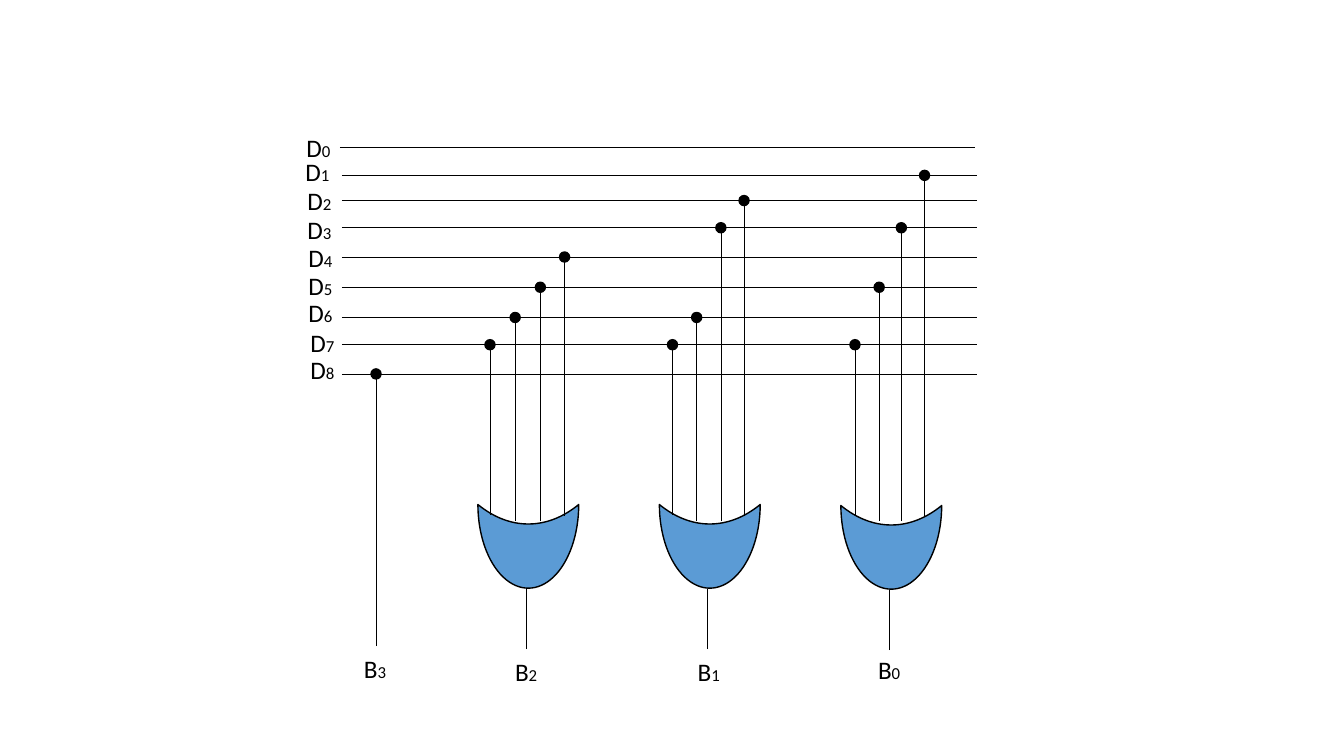
from dataclasses import dataclass

from lxml.etree import SubElement
from pptx import Presentation
from pptx.dml.color import RGBColor
from pptx.enum.shapes import MSO_CONNECTOR, MSO_SHAPE
from pptx.enum.text import MSO_AUTO_SIZE
from pptx.oxml.ns import qn
from pptx.util import Inches, Pt


@dataclass(frozen=True)
class Theme:
    font: str = "Calibri"
    ink: RGBColor = RGBColor(0x00, 0x00, 0x00)
    gate: RGBColor = RGBColor(0x5B, 0x9B, 0xD5)
    size: int = 18
    sub: int = 12
    wire: float = 0.5
    edge: float = 1


class Board:
    """Draws circuit parts on one slide in one theme."""

    def __init__(self, slide, theme):
        self.shapes = slide.shapes
        self.theme = theme

    def line(self, x1, y1, x2, y2):
        wire = self.shapes.add_connector(
            MSO_CONNECTOR.STRAIGHT, *map(Inches, (x1, y1, x2, y2)))
        wire.line.color.rgb = self.theme.ink
        wire.line.width = Pt(self.theme.wire)
        SubElement(wire._element.spPr, qn("a:effectLst"))

    def shape(self, kind, x, y, wide, high, fill):
        """Add a filled shape centred on x, y."""
        item = self.shapes.add_shape(
            kind, *map(Inches, (x - wide / 2, y - high / 2, wide, high)))
        item.shadow.inherit = False
        item.fill.solid()
        item.fill.fore_color.rgb = fill
        item.line.color.rgb = self.theme.ink
        item.line.width = Pt(self.theme.edge)
        return item

    def dot(self, x, y):
        self.shape(MSO_SHAPE.FLOWCHART_CONNECTOR, x, y, 0.1, 0.1, self.theme.ink)

    def gate(self, x, y):
        moon = self.shape(MSO_SHAPE.MOON, x, y, 0.83, 1, self.theme.gate)
        moon.adjustments[0] = 0.767
        moon.rotation = 270

    def label(self, x, y, wide, name, index):
        box = self.shapes.add_textbox(*map(Inches, (x, y, wide, 0.4)))
        frame = box.text_frame
        frame.word_wrap = False
        frame.auto_size = MSO_AUTO_SIZE.SHAPE_TO_FIT_TEXT
        for text, size in ((name, self.theme.size), (str(index), self.theme.sub)):
            run = frame.paragraphs[0].add_run()
            run.text = text
            run.font.color.rgb = self.theme.ink
            for key, value in {"name": self.theme.font, "size": Pt(size)}.items():
                setattr(run.font, key, value)


# Input lines D0 to D8: line height, label left, label top
INPUTS = [
    (1.46, 2.94, 1.26), (1.74, 2.93, 1.5), (1.99, 2.95, 1.79),
    (2.26, 2.95, 2.08), (2.55, 2.96, 2.35), (2.85, 2.96, 2.63),
    (3.15, 2.96, 2.9), (3.42, 2.98, 3.2), (3.71, 2.98, 3.47),
]
# OR gates: output number, centre, label place, (wire x, input number)
GATES = [
    (2, 5.24, 5.42, (5.01, 6.46), [(4.86, 7), (5.11, 6), (5.36, 5), (5.6, 4)]),
    (1, 7.04, 5.42, (6.82, 6.46), [(6.67, 7), (6.91, 6), (7.15, 3), (7.38, 2)]),
    (0, 8.84, 5.43, (8.61, 6.44), [(8.48, 7), (8.72, 5), (8.94, 3), (9.17, 1)]),
]
ENDS = (5.11, 5.17, 5.17, 5.12)
DIRECT = 3.73  # D8 feeds B3 without a gate


def main():
    deck = Presentation()
    deck.slide_width, deck.slide_height = Inches(13.33), Inches(7.5)
    board = Board(deck.slides.add_slide(deck.slide_layouts[6]), Theme())

    for row, (y, _, _) in enumerate(INPUTS):
        left = 3.39 if row else 3.37
        board.line(left, y, left + 6.3, y)

    for _, x, y, _, _ in GATES:
        board.gate(x, y)
        board.line(x - 0.02, y + 1.02, x - 0.02, y + 0.42)

    taps = [(DIRECT, 8, 6.41)]
    for *_, wires in GATES:
        taps += [(x, row, end) for (x, row), end in zip(wires, ENDS)]
    for x, row, end in taps:
        board.line(x, end, x, INPUTS[row][0])
    for x, row, _ in taps:
        board.dot(x, INPUTS[row][0])

    for row, (_, x, y) in enumerate(INPUTS):
        board.label(x, y, 0.44, "D", row)
    board.label(3.51, 6.43, 0.42, "B", 3)
    for bit, _, _, (x, y), _ in GATES:
        board.label(x, y, 0.42, "B", bit)

    deck.save("out.pptx")


if __name__ == "__main__":
    main()
